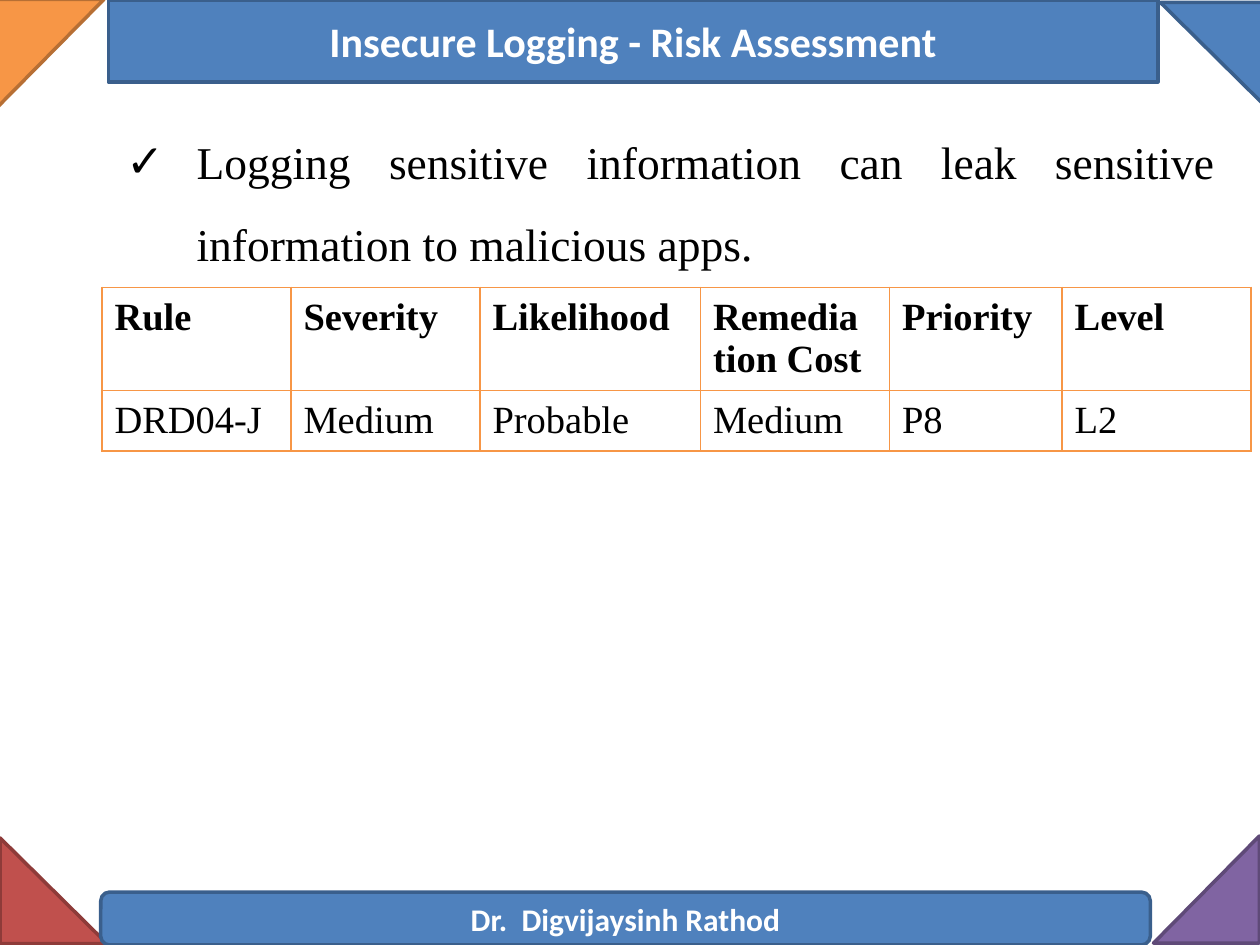
"""Build the Insecure Logging risk assessment slide."""
from lxml.etree import SubElement
from pptx import Presentation
from pptx.dml.color import RGBColor
from pptx.enum.shapes import MSO_SHAPE
from pptx.enum.text import MSO_ANCHOR, MSO_AUTO_SIZE, PP_ALIGN
from pptx.oxml.ns import qn
from pptx.util import Inches, Pt

COLORS = {
    "black": "000000", "white": "FFFFFF",
    "orange": "F79646", "orange_edge": "B76F34",
    "purple": "8064A2", "purple_edge": "5F4A78",
    "blue": "4F81BD", "blue_edge": "3A5F8C",
    "red": "C0504D", "red_edge": "8E3B39",
}

presentation = Presentation()
presentation.slide_width, presentation.slide_height = Inches(10), Inches(7.5)
column = presentation.slide_width / 100
row = presentation.slide_height / 75
slide = presentation.slides.add_slide(presentation.slide_layouts[1])


def add_run(paragraph, text, size, font_name, color, bold=False):
    run = paragraph.add_run()
    run.text = text
    run.font.size = Pt(size)
    run.font.name = font_name
    run.font.bold = bold
    run.font.color.rgb = RGBColor.from_string(COLORS[color])


def paint(shape, color):
    shape.fill.solid()
    shape.fill.fore_color.rgb = RGBColor.from_string(COLORS[color])
    shape.line.color.rgb = RGBColor.from_string(COLORS[color + "_edge"])
    shape.line.width = Pt(2)
    shape.shadow.inherit = False


body = slide.placeholders[1]
body.left, body.top = int(4 * column), int(7.3 * row)
body.width, body.height = int(93.5 * column), int(59.8 * row)
body.text_frame.auto_size = MSO_AUTO_SIZE.NONE
body.text_frame.margin_top = int(1.2 * row)
paragraph = body.text_frame.paragraphs[0]
paragraph.alignment = PP_ALIGN.JUSTIFY
paragraph.line_spacing = 1.5
paragraph.space_before = Pt(0)
properties = paragraph._p.get_or_add_pPr()
properties.set("marL", str(int(10.6 * column)))
properties.set("indent", str(int(-5.6 * column)))
SubElement(properties, qn("a:buChar")).set("char", "✓")
add_run(paragraph, "Logging sensitive information can leak sensitive information to malicious apps.",
        26, "Times New Roman", "black")

corners = [
    (-0.2, 0, 90, "orange"),
    (91.5, 66.4, 270, "purple"),
    (92.1, 0.2, 180, "blue"),
    (0, 66.5, 0, "red"),
]
for left, top, rotation, color in corners:
    corner = slide.shapes.add_shape(MSO_SHAPE.RIGHT_TRIANGLE, int(left * column), int(top * row),
                                    int(8.5 * column), int(8.4 * row))
    corner.rotation = rotation
    paint(corner, color)

title = slide.shapes.title
footer = slide.shapes.add_shape(MSO_SHAPE.ROUNDED_RECTANGLE, 0, 0, 0, 0)
banners = [
    (title, 8.6, 0, 6.5, "Insecure Logging - Risk Assessment", 24),
    (footer, 8, 70.8, 4.2, "Dr.  Digvijaysinh Rathod", 18),
]
for banner, left, top, height, text, size in banners:
    banner.left, banner.top = int(left * column), int(top * row)
    banner.width, banner.height = int(83.3 * column), int(height * row)
    if banner is title:
        geometry = SubElement(banner._element.spPr, qn("a:prstGeom"), prst="roundRect")
        SubElement(geometry, qn("a:avLst"))
    paint(banner, "blue")
    frame = banner.text_frame
    frame.auto_size = MSO_AUTO_SIZE.NONE
    frame.vertical_anchor = MSO_ANCHOR.MIDDLE
    frame.paragraphs[0].alignment = PP_ALIGN.CENTER
    add_run(frame.paragraphs[0], text, size, "Calibri", "white", True)

risks = [
    ["Rule", "Severity", "Likelihood", "Remediation Cost", "Priority", "Level"],
    ["DRD04-J", "Medium", "Probable", "Medium", "P8", "L2"],
]
column_widths = [15, 15, 17.5, 15, 13.7, 15]
row_heights = [8.2, 4.8]
table = slide.shapes.add_table(len(risks), len(column_widths), int(8.1 * column), int(22.8 * row),
                               int(sum(column_widths) * column), int(sum(row_heights) * row)).table
table.first_row = table.horz_banding = False
for table_column, width in zip(table.columns, column_widths):
    table_column.width = int(width * column)
for row_index, (values, height) in enumerate(zip(risks, row_heights)):
    table.rows[row_index].height = int(height * row)
    is_header = row_index == 0
    for column_index, value in enumerate(values):
        cell = table.cell(row_index, column_index)
        cell.margin_left = int(column)
        cell.margin_right = int((1.6 if is_header else 1) * column)
        cell.margin_top = cell.margin_bottom = int(0.7 * row)
        cell_properties = cell._tc.get_or_add_tcPr()
        for side in ("a:lnL", "a:lnR", "a:lnT", "a:lnB"):
            border = SubElement(cell_properties, qn(side), w=str(Pt(1)))
            fill = SubElement(border, qn("a:solidFill"))
            SubElement(fill, qn("a:srgbClr"), val=COLORS["orange"])
        cell.fill.background()
        add_run(cell.text_frame.paragraphs[0], value, 22, "Times New Roman", "black", is_header)

presentation.save("out.pptx")
